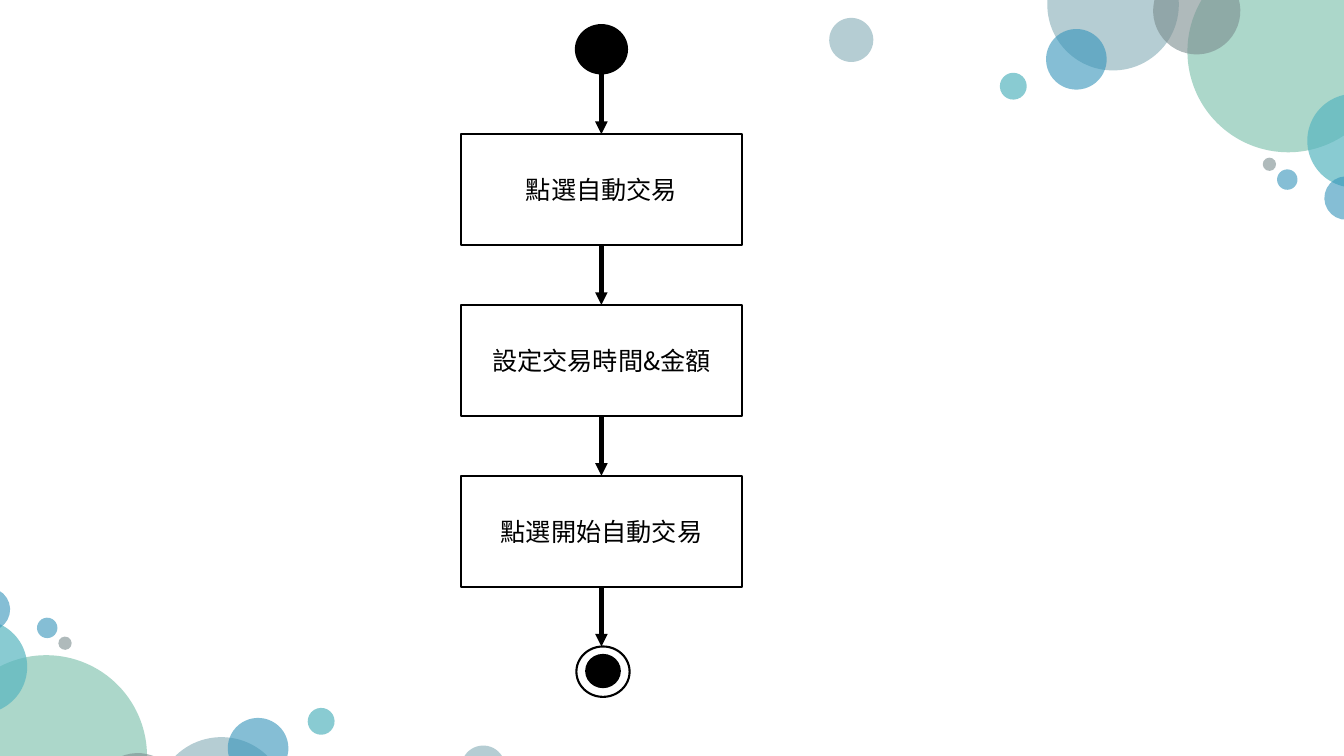
from lxml import etree
from pptx import Presentation
from pptx import util as u
from pptx.dml.color import RGBColor
from pptx.enum import shapes, text
from pptx.oxml import ns

theme = {
    "ink": "000000",
    "paper": "FFFFFF",
    "mist": "84ACB6",
    "green": "75BDA7",
    "slate": "7A8C8E",
    "blue": "3494BA",
    "teal": "58B6C0",
    "font": "Noto Sans CJK SC",
    "step_size": 18,
    "outline": 1.5,
    "arrow": 3,
}


def add_figure(parent, preset, left, top, width, height, fill=None, outline=False):
    figure = parent.shapes.add_shape(preset, u.Pt(left), u.Pt(top), u.Pt(width), u.Pt(height))
    figure.shadow.inherit = False
    if fill:
        figure.fill.solid()
        figure.fill.fore_color.rgb = RGBColor.from_string(theme[fill])
    else:
        figure.fill.background()
    if outline:
        figure.line.color.rgb = RGBColor.from_string(theme["ink"])
        figure.line.width = u.Pt(theme["outline"])
    else:
        figure.line.fill.background()
    return figure


def add_bubble(parent, left, top, size, color, opacity, rotation):
    bubble = add_figure(parent, shapes.MSO_SHAPE.OVAL, left, top, size, size, color)
    bubble.rotation = rotation
    tint = bubble.fill._xPr.find(".//" + ns.qn("a:srgbClr"))
    etree.SubElement(tint, ns.qn("a:alpha"), val=str(opacity * 1000))


deck = Presentation()
deck.slide_width, deck.slide_height = u.Pt(960), u.Pt(540)
slide = deck.slides.add_slide(deck.slide_layouts[6])

bubbles = [
    (748.1, -43.6, 93.9, "mist", 60),
    (848.2, -35.2, 144, "green", 60),
    (823.7, -23.4, 62.3, "slate", 60),
    (747.2, 20.7, 43.3, "blue", 60),
    (933.8, 67, 67, "teal", 70),
    (714.2, 52, 19.2, "teal", 70),
    (946, 126, 31, "blue", 60),
    (912.2, 121, 14.6, "blue", 60),
    (902, 112.6, 9.5, "slate", 60),
    (592.3, 12.8, 31.5, "mist", 60),
]
mirror_x, mirror_y = 953.2, 576.8
top_corner = slide.shapes.add_group_shape()
for left, top, size, color, opacity in bubbles:
    add_bubble(top_corner, left, top, size, color, opacity, 357.7)
bottom_corner = slide.shapes.add_group_shape()
for left, top, size, color, opacity in bubbles:
    add_bubble(bottom_corner, mirror_x - left - size, mirror_y - top - size,
               size, color, opacity, 177.7)

axis = 429.6
marker_w, marker_h = 38, 36
step_w, step_h = 201, 79.4
first_step, pitch = 95.8, 122
gap = pitch - step_h

add_figure(slide, shapes.MSO_SHAPE.FLOWCHART_CONNECTOR, axis - marker_w / 2,
           first_step - gap - marker_h, marker_w, marker_h, "ink")

steps = ["點選自動交易", "設定交易時間&金額", "點選開始自動交易"]
for index, label in enumerate(steps):
    step = add_figure(slide, shapes.MSO_SHAPE.RECTANGLE, axis - step_w / 2,
                      first_step + index * pitch, step_w, step_h, outline=True)
    step.text_frame.word_wrap = True
    step.text_frame.vertical_anchor = text.MSO_ANCHOR.MIDDLE
    line = step.text_frame.paragraphs[0]
    line.alignment = text.PP_ALIGN.CENTER
    run = line.add_run()
    run.text = label
    run.font.size = u.Pt(theme["step_size"])
    run.font.color.rgb = RGBColor.from_string(theme["ink"])
    run.font.name = theme["font"]
    etree.SubElement(run.font._element, ns.qn("a:ea"), typeface=theme["font"])

for index in range(len(steps) + 1):
    arrow_end = first_step + index * pitch
    arrow = slide.shapes.add_connector(shapes.MSO_CONNECTOR.STRAIGHT, u.Pt(axis),
                                       u.Pt(arrow_end - gap), u.Pt(axis), u.Pt(arrow_end))
    arrow.line.color.rgb = RGBColor.from_string(theme["ink"])
    arrow.line.width = u.Pt(theme["arrow"])
    etree.SubElement(arrow.line._get_or_add_ln(), ns.qn("a:tailEnd"), type="triangle")
    etree.SubElement(arrow._element.spPr, ns.qn("a:effectLst"))

finish = slide.shapes.add_group_shape()
finish_axis = 430.7
finish_top = first_step + len(steps) * pitch
core_w, core_h = 24, 23
add_figure(finish, shapes.MSO_SHAPE.FLOWCHART_CONNECTOR, finish_axis - marker_w / 2,
           finish_top, marker_w, marker_h, "paper", outline=True)
add_figure(finish, shapes.MSO_SHAPE.FLOWCHART_CONNECTOR, finish_axis - core_w / 2,
           finish_top + 6, core_w, core_h, "ink", outline=True)

deck.save("out.pptx")
